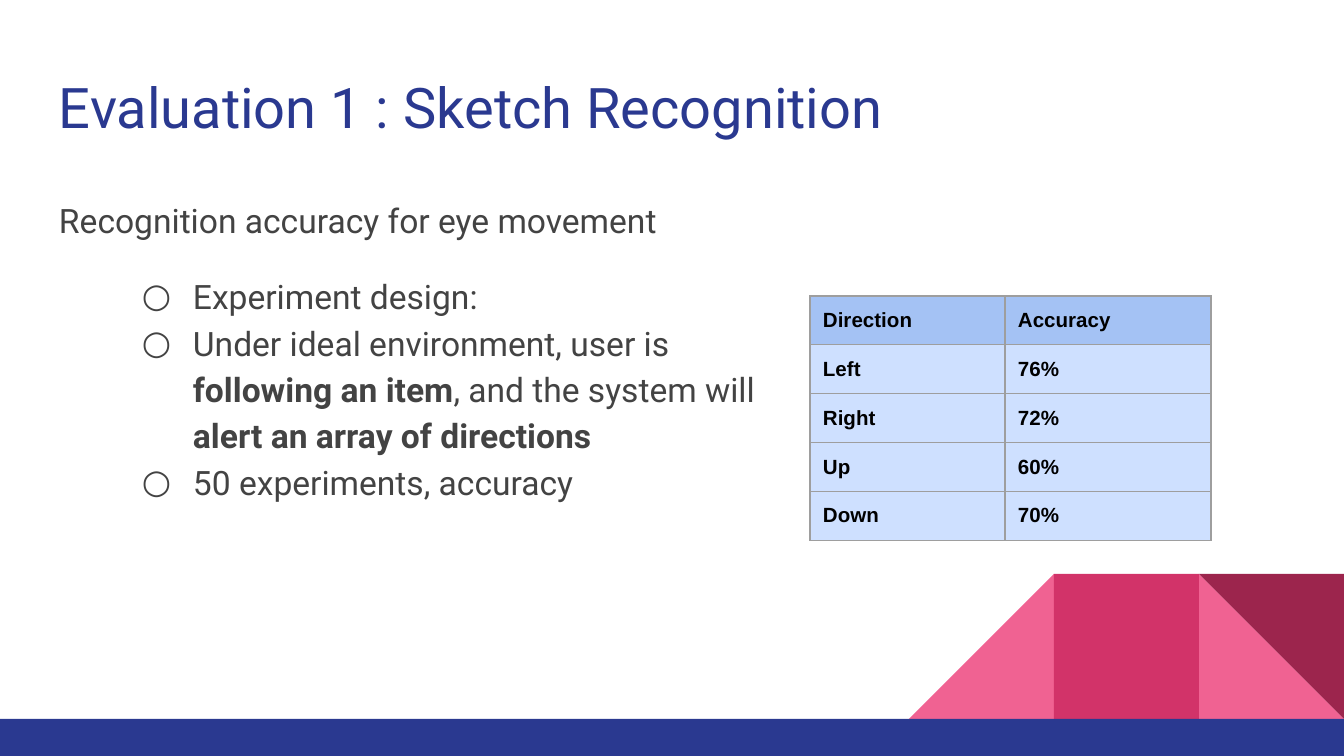
from dataclasses import dataclass

import pptx
import pptx.dml.color
import pptx.enum.shapes
import pptx.enum.text
import pptx.oxml
import pptx.oxml.ns
import pptx.util

SCALE = 9144000 / 1344
COLORS = {
    "navy": "2A3990",
    "pink": "F06292",
    "rose": "D23369",
    "wine": "9C254D",
    "text": "434343",
    "black": "000000",
    "header": "A4C2F4",
    "row": "CEE0FF",
    "border": "9E9E9E",
}
RECT = pptx.enum.shapes.MSO_SHAPE.RECTANGLE
TRIANGLE = pptx.enum.shapes.MSO_SHAPE.RIGHT_TRIANGLE
INSET = 13
TILE = 145
BAR_TOP = 719


@dataclass(frozen=True)
class Block:
    kind: int
    x: int
    y: int
    w: int
    h: int
    color: str
    rotation: int = 0
    flip: bool = False


@dataclass(frozen=True)
class Item:
    runs: tuple[tuple[str, bool], ...]
    bullet: bool = True
    before: int = 0


BLOCKS = [
    Block(TRIANGLE, 1344 - TILE, BAR_TOP - TILE, TILE, TILE, "pink"),
    Block(TRIANGLE, 1344 - 3 * TILE, BAR_TOP - TILE, TILE, TILE, "pink", flip=True),
    Block(RECT, 1344 - 2 * TILE, BAR_TOP - TILE, TILE, TILE, "rose"),
    Block(TRIANGLE, 1344 - TILE, BAR_TOP - TILE, TILE, TILE, "wine", rotation=180),
    Block(RECT, 0, BAR_TOP, 1344, 756 - BAR_TOP, "navy"),
]
ITEMS = [
    Item((("Recognition accuracy for eye movement", False),), bullet=False, before=16),
    Item((("Experiment design:", False),), before=16),
    Item((
        ("Under ideal environment, user is ", False),
        ("following an item", True),
        (", and the system will ", False),
        ("alert an array of directions", True),
    )),
    Item((("50 experiments, accuracy", False),)),
]
ROWS = [
    ("Direction", "Accuracy"),
    ("Left", "76%"),
    ("Right", "72%"),
    ("Up", "60%"),
    ("Down", "70%"),
]


def px(n: int) -> int:
    return round(n * SCALE)


def rgb(name: str) -> pptx.dml.color.RGBColor:
    return pptx.dml.color.RGBColor.from_string(COLORS[name])


def add_run(p, text: str, *, size: int, color: str, font: str = "Roboto", bold: bool = False) -> None:
    r = p.add_run()
    r.text = text
    r.font.name = font
    r.font.size = pptx.util.Pt(size)
    r.font.bold = bold
    r.font.color.rgb = rgb(color)


def add_xml(parent, xml: str, index: int) -> None:
    tag, rest = xml.split(" ", 1)
    parent.insert(index, pptx.oxml.parse_xml(f"<a:{tag} {pptx.oxml.ns.nsdecls('a')} {rest}"))


def draw_block(s, block: Block) -> None:
    sp = s.shapes.add_shape(block.kind, px(block.x), px(block.y), px(block.w), px(block.h))
    sp.shadow.inherit = False
    sp.fill.solid()
    sp.fill.fore_color.rgb = rgb(block.color)
    sp.line.fill.background()
    sp.rotation = block.rotation
    if block.flip:
        sp._element.spPr.xfrm.set("flipH", "1")


def place(sp, x: int, y: int, w: int, h: int):
    sp.left, sp.top, sp.width, sp.height = px(x), px(y), px(w), px(h)
    tf = sp.text_frame
    tf.margin_left = tf.margin_right = tf.margin_top = tf.margin_bottom = px(INSET)
    tf.word_wrap = True
    tf.auto_size = pptx.enum.text.MSO_AUTO_SIZE.NONE
    tf.vertical_anchor = pptx.enum.text.MSO_ANCHOR.TOP
    return tf


def draw_title(s) -> None:
    p = place(s.shapes.title, 46, 60, 1253, 89).paragraphs[0]
    p.alignment = pptx.enum.text.PP_ALIGN.LEFT
    add_run(p, "Evaluation 1 : Sketch Recognition", size=30, color="navy")


def draw_body(s, items: list[Item]) -> None:
    tf = place(s.placeholders[1], 46, 181, 765, 491)
    for i, item in enumerate(items):
        p = tf.add_paragraph() if i else tf.paragraphs[0]
        p.level = int(item.bullet)
        p.line_spacing = 1.15
        p.space_before = pptx.util.Pt(item.before)
        p.space_after = pptx.util.Pt(0)
        pPr = p._p.get_or_add_pPr()
        pPr.set("marL", str(px(134 if item.bullet else 0)))
        pPr.set("indent", str(px(-51 if item.bullet else 0)))
        if item.bullet:
            add_xml(pPr, f'buClr ><a:srgbClr val="{COLORS["text"]}"/></a:buClr>', len(pPr))
            add_xml(pPr, 'buFont typeface="Roboto"/>', len(pPr))
            add_xml(pPr, 'buChar char="○"/>', len(pPr))
        else:
            add_xml(pPr, "buNone />", len(pPr))
        for text, bold in item.runs:
            add_run(p, text, size=18, color="text", bold=bold)


def draw_table(s, rows: list[tuple[str, str]]) -> None:
    widths = (195, 206)
    height = 40
    frame = s.shapes.add_table(
        len(rows), len(widths), px(810), px(296), px(sum(widths)), px(height * len(rows))
    )
    table = frame.table
    for col, width in zip(table.columns, widths):
        col.width = px(width)
    for i, values in enumerate(rows):
        table.rows[i].height = px(height)
        for j, value in enumerate(values):
            cell = table.cell(i, j)
            cell.margin_left = cell.margin_right = px(INSET)
            cell.margin_top = cell.margin_bottom = px(INSET)
            cell.fill.solid()
            cell.fill.fore_color.rgb = rgb("row" if i else "header")
            add_run(cell.text_frame.paragraphs[0], value, size=11, color="black", font="Arial", bold=True)
            tcPr = cell._tc.get_or_add_tcPr()
            for k, side in enumerate("LRTB"):
                add_xml(
                    tcPr,
                    f'ln{side} w="{pptx.util.Pt(0.75)}"><a:solidFill>'
                    f'<a:srgbClr val="{COLORS["border"]}"/></a:solidFill></a:ln{side}>',
                    k,
                )


def main() -> None:
    prs = pptx.Presentation()
    prs.slide_width, prs.slide_height = px(1344), px(756)
    s = prs.slides.add_slide(prs.slide_layouts[1])
    for block in BLOCKS:
        draw_block(s, block)
    draw_title(s)
    draw_body(s, ITEMS)
    draw_table(s, ROWS)
    prs.save("out.pptx")


if __name__ == "__main__":
    main()
